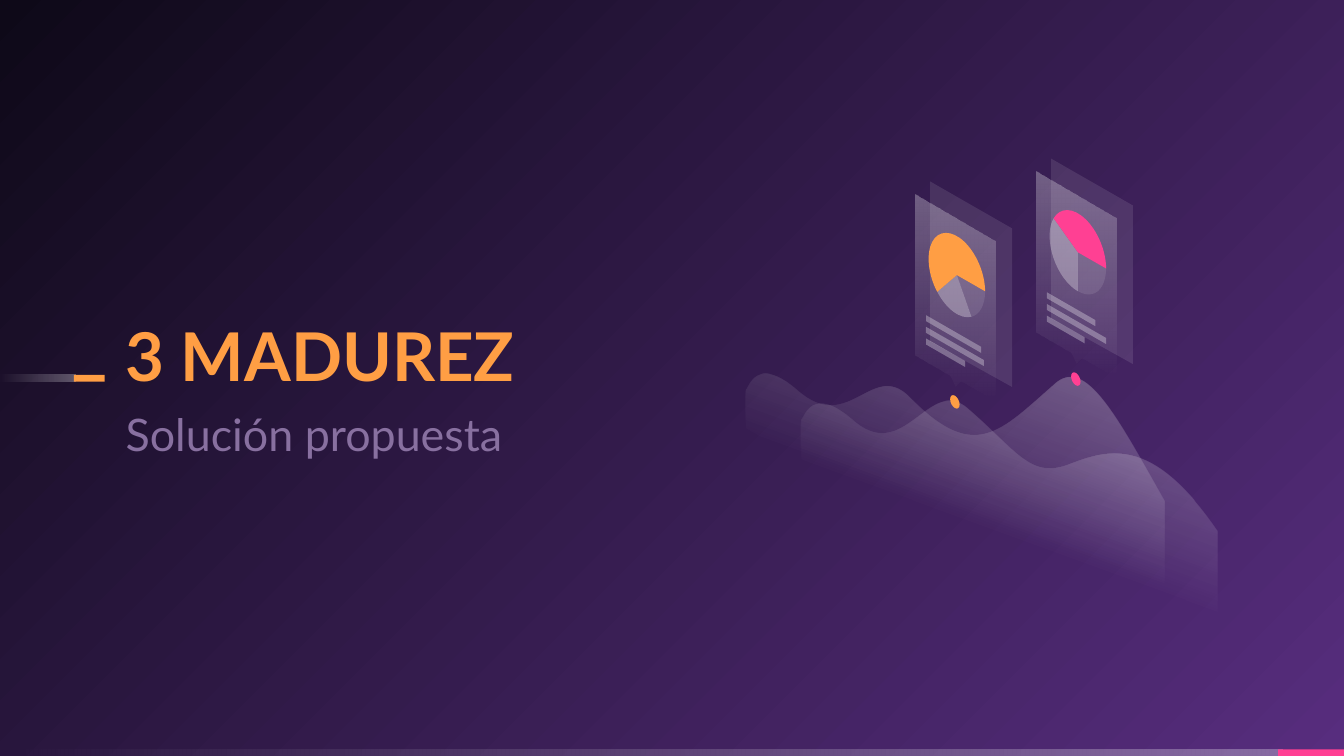
from math import ceil, cos, radians, sin, tan

from lxml import etree
from pptx import Presentation
from pptx.dml.color import RGBColor
from pptx.enum.shapes import MSO_SHAPE
from pptx.enum.text import MSO_ANCHOR
from pptx.oxml.ns import qn
from pptx.util import Inches, Pt

RECT = MSO_SHAPE.RECTANGLE
TOP, BOTTOM = MSO_ANCHOR.TOP, MSO_ANCHOR.BOTTOM

WHITE = RGBColor(0xFF, 0xFF, 0xFF)
PINK = RGBColor(0xFF, 0x40, 0x93)
ORANGE = RGBColor(0xFF, 0x9E, 0x44)
LILAC = RGBColor(0x88, 0x70, 0xA0)
VIOLET = RGBColor(0x57, 0x2D, 0x7E)
NIGHT = RGBColor(0x0E, 0x09, 0x18)

FONT = "Lato"
UNIT = Inches(0.01)
COLS, ROWS = 1000, 562.5
SLOPE = 0.575
FADE = [(0, WHITE, 30), (100, WHITE, 0)]
MIST = [(0, WHITE, 30), (47, WHITE, 0), (100, WHITE, 0)]

HILLS = [
    ((555, 278), [
        (39, 13), (7, -15, 2, 12, 0, 12), (0, 12, -1, 18, 0, 41),
        (311, 221), (311, 95), (275, 31, 252, -13, 229, 8),
        (189, 43, 170, 67, 122, 18), (94, -11, 77, 46, 39, 13)]),
    ((596, 298), [
        (39, 15), (7, -13, 2, 14, 0, 14), (0, 14, -1, 20, 0, 44),
        (310, 223), (310, 97), (260, 24, 227, 37, 198, 48),
        (170, 58, 160, 37, 124, 6), (95, -19, 77, 48, 39, 15)]),
]
CARDS = [
    ((771, 118, 72, 170), PINK, (90, 211), (36, 44, 28)),
    ((681, 135, 72, 170), ORANGE, (59, 134), (41, 43, 29)),
]


def fade(root, stops, angle=None):
    node = root.find(".//" + qn("a:gradFill"))
    for kid in list(node):
        node.remove(kid)
    group = etree.SubElement(node, qn("a:gsLst"))
    for pos, color, alpha in stops:
        stop = etree.SubElement(group, qn("a:gs"), pos=str(pos * 1000))
        tint = etree.SubElement(stop, qn("a:srgbClr"), val=str(color))
        if alpha < 100:
            etree.SubElement(tint, qn("a:alpha"), val=str(alpha * 1000))
    if angle is None:
        way = etree.SubElement(node, qn("a:path"), path="circle")
        etree.SubElement(way, qn("a:fillToRect"), l="100000", t="100000")
    else:
        etree.SubElement(node, qn("a:lin"), ang=str(angle * 60000), scaled="0")


def style(shape, color=WHITE, alpha=100, stops=None, angle=90):
    shape.shadow.inherit = False
    shape.line.fill.background()
    if stops:
        shape.fill.gradient()
        fade(shape._element.spPr, stops, angle)
        return
    shape.fill.solid()
    shape.fill.fore_color.rgb = color
    if alpha < 100:
        tint = shape._element.spPr.find(".//" + qn("a:srgbClr"))
        etree.SubElement(tint, qn("a:alpha"), val=str(alpha * 1000))


def bar(slide, box, **look):
    shape = slide.shapes.add_shape(RECT, *[int(n * UNIT) for n in box])
    style(shape, **look)


def pairs(step):
    return list(zip(step[::2], step[1::2]))


def trace(steps, parts=16):
    dots = [steps[0]]
    for step in steps[1:]:
        if len(step) == 2:
            dots.append(step)
            continue
        knots = [dots[-1], *pairs(step)]
        for i in range(1, parts + 1):
            t = i / parts
            s = 1 - t
            mix = (s ** 3, 3 * s * s * t, 3 * s * t * t, t ** 3)
            dots.append(tuple(sum(m * k[n] for m, k in zip(mix, knots))
                              for n in (0, 1)))
    return dots


def outline(slide, box, steps, **look):
    left, top = box[0], box[1]
    dots = [((left + x) * UNIT, (top + y) * UNIT) for x, y in trace(steps)]
    pen = slide.shapes.build_freeform(*dots[0], scale=1.0)
    pen.add_line_segments(dots[1:], close=True)
    shape = pen.convert_to_shape()
    route = shape._element.spPr.find(".//" + qn("a:path"))
    for kid in list(route):
        route.remove(kid)
    for i, step in enumerate(steps):
        verb = "cubicBezTo" if len(step) == 6 else "lnTo" if i else "moveTo"
        node = etree.SubElement(route, qn("a:" + verb))
        for x, y in pairs(step):
            etree.SubElement(node, qn("a:pt"),
                             x=str(round((left + x) * UNIT - shape.left)),
                             y=str(round((top + y) * UNIT - shape.top)))
    etree.SubElement(route, qn("a:close"))
    style(shape, **look)


def arc(mid, wide, tall, first=0, last=360, span=90):
    count = ceil((last - first) / span)
    turn = radians(last - first) / count
    pull = 4 / 3 * tan(turn / 4)

    def spot(u, v):
        return mid[0] + wide * u, mid[1] + tall * v + wide * u * SLOPE

    a = radians(first)
    steps = [spot(cos(a), sin(a))]
    for _ in range(count):
        b = a + turn
        steps.append((*spot(cos(a) - pull * sin(a), sin(a) + pull * cos(a)),
                      *spot(cos(b) + pull * sin(b), sin(b) - pull * cos(b)),
                      *spot(cos(b), sin(b))))
        a = b
    return steps


def write(slide, box, text, size=24, color=WHITE, bold=False,
          anchor=TOP, lead=1.0, after=0):
    field = slide.shapes.add_textbox(*[int(n * UNIT) for n in box])
    frame = field.text_frame
    frame.word_wrap = True
    frame.vertical_anchor = anchor
    frame.margin_left = frame.margin_right = 0
    frame.margin_top = frame.margin_bottom = 0
    para = frame.paragraphs[0]
    para.line_spacing = lead
    para.space_after = Pt(after)
    run = para.add_run()
    run.text = text
    run.font.name = FONT
    run.font.size = Pt(size)
    run.font.bold = bold
    run.font.color.rgb = color


def stripe(slide, box, tail, tip, color):
    x, y, w, h = box
    bar(slide, (x, y, tail, h), stops=FADE, angle=180)
    bar(slide, (x + tip, y, w - tip, h), color=color)


def heading(slide, box):
    x, y, w, h = box
    write(slide, (x, y, w, h * 0.72), "3 MADUREZ", size=36, color=ORANGE,
          bold=True, anchor=BOTTOM, lead=0.9)
    write(slide, (x, y + h * 0.73, w, h * 0.27), "Solución propuesta",
          color=LILAC, lead=1.15, after=8)


def pin(slide, box, color):
    mid = (box[2] * 0.41, box[3] * 0.965)
    outline(slide, box, arc(mid, 3.5, 4.6), color=color)


def card(slide, box, color, cuts, bars):
    w, h = box[2:]
    mid = (w * 0.43, h * 0.41)
    outline(slide, box, [(11, 0), (w, 35), (w, 153), (11, 119)], alpha=10)
    outline(slide, box, [(60, 45), (0, 10), (0, 129), (26, 144), (30, 152),
                         (34, 148), (60, 163)], stops=FADE)
    edges = (0, *cuts, 360)
    looks = ({"alpha": 10}, {"alpha": 30}, {"color": color})
    for first, last, look in zip(edges, edges[1:], looks):
        outline(slide, box, [*arc(mid, 21, 29, first, last, 40), mid], **look)
    for i, wide in enumerate(bars):
        x, y = 8, 99.5 + i * 8.7
        end = y + wide * SLOPE
        outline(slide, box, [(x, y), (x + wide, end), (x + wide, end + 4.5),
                             (x, y + 4.5)], alpha=30)


def main():
    deck = Presentation()
    deck.slide_width = int(COLS * UNIT)
    deck.slide_height = int(ROWS * UNIT)
    slide = deck.slides.add_slide(deck.slide_layouts[6])
    slide.background.fill.gradient()
    fade(slide._element, [(0, VIOLET, 100), (100, NIGHT, 100)])
    stripe(slide, (0, ROWS - 5, COLS, 5), 954, 951, PINK)
    stripe(slide, (0, 279, 78, 5), 56, 55, ORANGE)
    heading(slide, (93.5, 168, 559, 176))
    for box, steps in HILLS:
        outline(slide, box, steps, stops=MIST, angle=110)
    for box, color, *_ in CARDS:
        pin(slide, box, color)
    for parts in CARDS:
        card(slide, *parts)
    deck.save("out.pptx")


if __name__ == "__main__":
    main()
